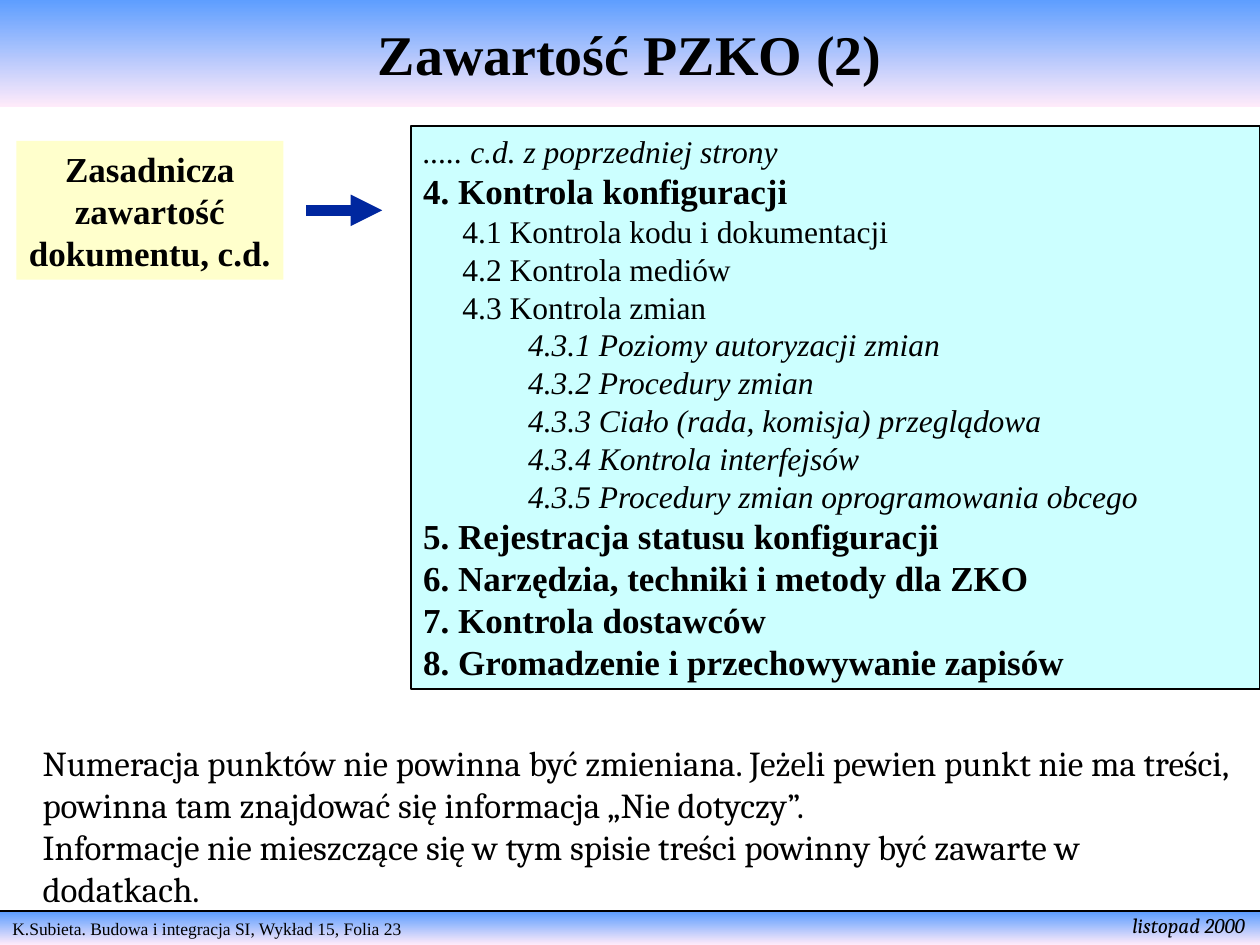
from lxml import etree
from pptx import Presentation
from pptx.dml.color import RGBColor
from pptx.enum.shapes import MSO_CONNECTOR, MSO_SHAPE
from pptx.enum.text import MSO_ANCHOR, MSO_AUTO_SIZE, PP_ALIGN
from pptx.oxml.ns import qn
from pptx.util import Pt

RECTANGLE = MSO_SHAPE.RECTANGLE
STRAIGHT = MSO_CONNECTOR.STRAIGHT
TOP, MIDDLE = MSO_ANCHOR.TOP, MSO_ANCHOR.MIDDLE
GROW, FIXED = MSO_AUTO_SIZE.SHAPE_TO_FIT_TEXT, MSO_AUTO_SIZE.NONE
LEFT, CENTER = PP_ALIGN.LEFT, PP_ALIGN.CENTER

SERIF, BODY = "Times New Roman", "Cambria"
BLACK = "000000"
GRADIENT = ("5E9EFF", "FFEBFA")

HEADING = {"size": Pt(20), "bold": True, "name": SERIF}
ITEM = {"size": Pt(18), "name": SERIF}
DETAIL = {"size": Pt(18), "italic": True, "name": SERIF}
NOTE = {"size": Pt(20), "name": BODY}

CONTENTS = [
    ("..... c.d. z poprzedniej strony", DETAIL, 0),
    ("4. Kontrola konfiguracji", HEADING, 0),
    ("4.1 Kontrola kodu i dokumentacji", ITEM, 22.5),
    ("4.2 Kontrola mediów", ITEM, 22.5),
    ("4.3 Kontrola zmian", ITEM, 22.5),
    ("4.3.1 Poziomy autoryzacji zmian", DETAIL, 60),
    ("4.3.2 Procedury zmian", DETAIL, 60),
    ("4.3.3 Ciało (rada, komisja) przeglądowa", DETAIL, 60),
    ("4.3.4 Kontrola interfejsów", DETAIL, 60),
    ("4.3.5 Procedury zmian oprogramowania obcego", DETAIL, 60),
    ("5. Rejestracja statusu konfiguracji", HEADING, 0),
    ("6. Narzędzia, techniki i metody dla ZKO", HEADING, 0),
    ("7. Kontrola dostawców", HEADING, 0),
    ("8. Gromadzenie i przechowywanie zapisów", HEADING, 0),
]
LABEL = ["Zasadnicza", "zawartość", "dokumentu, c.d."]
NOTES = [
    "Numeracja punktów nie powinna być zmieniana. Jeżeli pewien punkt nie ma treści, "
    "powinna tam znajdować się informacja „Nie dotyczy”.",
    "Informacje nie mieszczące się w tym spisie treści powinny być zawarte w dodatkach.",
]


def color(value):
    return RGBColor.from_string(value)


def set_values(target, values):
    for name, value in values.items():
        setattr(target, name, value)


def write(shape, lines, align=LEFT, anchor=TOP, wrap=True, fit=GROW):
    frame = shape.text_frame
    set_values(frame, {
        "word_wrap": wrap, "auto_size": fit, "vertical_anchor": anchor,
        "margin_left": Pt(7.2), "margin_right": Pt(7.2),
        "margin_top": Pt(3.6), "margin_bottom": Pt(3.6),
    })
    for index, (text, style, indent) in enumerate(lines):
        para = frame.add_paragraph() if index else frame.paragraphs[0]
        para.alignment = align
        if indent:
            properties = para._p.get_or_add_pPr()
            properties.set("marL", str(Pt(indent)))
            properties.set("indent", "0")
        span = para.add_run()
        span.text = text
        set_values(span.font, style)
        span.font.color.rgb = color(BLACK)


def add_panel(page, box, fill=None, line=None):
    panel = page.shapes.add_shape(RECTANGLE, *map(Pt, box))
    panel.shadow.inherit = False
    if fill:
        panel.fill.solid()
        panel.fill.fore_color.rgb = color(fill)
    else:
        panel.fill.gradient()
        panel.fill.gradient_angle = 270
        for stop, value in zip(panel.fill.gradient_stops, GRADIENT):
            stop.color.rgb = color(value)
    if line:
        panel.line.color.rgb = color(line)
        panel.line.width = Pt(1)
    else:
        panel.line.fill.background()
    return panel


def add_line(page, ends, value, width, arrow=False):
    line = page.shapes.add_connector(STRAIGHT, *map(Pt, ends))
    line.line.color.rgb = color(value)
    line.line.width = Pt(width)
    etree.SubElement(line._element.spPr, qn("a:effectLst"))
    if arrow:
        etree.SubElement(line.line._get_or_add_ln(), qn("a:tailEnd"), type="triangle")


def add_footer(page, box):
    left, top, width, height = box
    bar = add_panel(page, box)
    write(bar, [("K.Subieta. Budowa i integracja SI, Wykład 15, Folia 23",
                 {"size": Pt(10), "name": SERIF}, 0)])
    add_line(page, (left, top - 0.7, left + width, top - 0.7), BLACK, 1)
    date = page.shapes.add_textbox(Pt(left + width - 80), Pt(top - 3.6), Pt(80), Pt(21.6))
    write(date, [("listopad 2000", {"size": Pt(12), "italic": True, "name": BODY}, 0)],
          wrap=False)


def add_title(page, box):
    write(add_panel(page, box),
          [("Zawartość PZKO (2)", {"size": Pt(32), "bold": True, "name": SERIF}, 0)],
          CENTER, MIDDLE, fit=FIXED)


def add_contents(page, box):
    write(add_panel(page, box, "CCFFFF", BLACK), CONTENTS)


def add_label(page, box):
    left, top, width, height = box
    label = add_panel(page, box, "FFFFCC")
    write(label, [(text, HEADING, 0) for text in LABEL], CENTER, wrap=False)
    start, middle = left + width + 13, top + height / 2
    add_line(page, (start, middle, start + 43.5, middle), "00279F", 6, arrow=True)


def add_notes(page, box):
    notes = page.shapes.add_textbox(*map(Pt, box))
    write(notes, [(text, NOTE, 0) for text in NOTES])


def main():
    deck = Presentation()
    deck.slide_width, deck.slide_height = Pt(720), Pt(540)
    page = deck.slides.add_slide(deck.slide_layouts[6])
    add_footer(page, (0, 521.3, 720, 18.7))
    add_title(page, (0, 0, 720, 61.2))
    add_contents(page, (234.7, 72, 485.3, 321.8))
    add_label(page, (9.3, 80.6, 152.6, 79.2))
    add_notes(page, (17.2, 420.4, 697, 103.7))
    deck.save("out.pptx")


if __name__ == "__main__":
    main()
